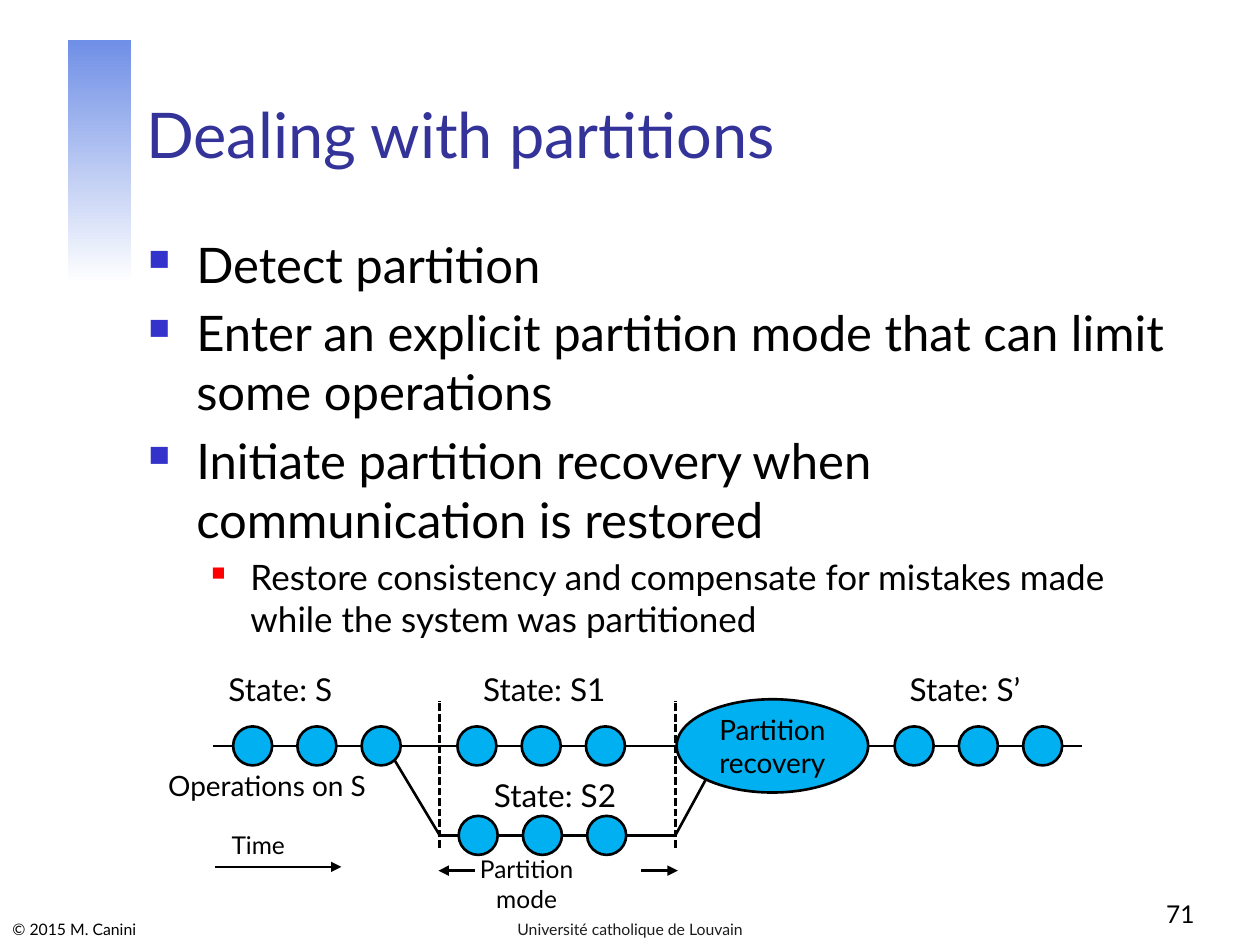
"""Build the slide on dealing with network partitions."""
from lxml.etree import SubElement
from pptx import Presentation
from pptx.dml.color import RGBColor
from pptx.enum.dml import MSO_LINE
from pptx.enum.shapes import MSO_CONNECTOR, MSO_SHAPE
from pptx.enum.text import MSO_ANCHOR, PP_ALIGN
from pptx.oxml.ns import qn
from pptx.util import Inches, Pt

FONT = "Lato"
BLACK = "000000"
STATE_FILL = "00B0F0"
TITLE = "Dealing with partitions"

BULLETS = [
    ("Detect partition", 0),
    ("Enter an explicit partition mode that can limit some operations", 0),
    ("Initiate partition recovery when communication is restored", 0),
    ("Restore consistency and compensate for mistakes made while the system was partitioned", 1),
]
LEVELS = [
    {"size": 28, "margin": 0.38, "hanging": 0.38, "color": "3333CC", "scale": 60},
    {"size": 20, "margin": 0.81, "hanging": 0.31, "color": "FF0000", "scale": 55},
]

FOOTERS = [
    ("© 2015 M. Canini", (0, 7.22, 3.02, 0.28), 9, BLACK, PP_ALIGN.LEFT),
    ("Université catholique de Louvain", (3.42, 7.22, 3.16, 0.28), 9, "1C1C1C", PP_ALIGN.CENTER),
    ("71", (7.5, 6.92, 2.08, 0.5), 14, BLACK, PP_ALIGN.RIGHT),
]

DIAGRAM_LABELS = [
    ("State: S", (1.68, 5.27, 1.09, 0.4), 18, False),
    ("Operations on S", (1.22, 6.05, 1.8, 0.37), 16, False),
    ("State: S1", (3.71, 5.27, 1.22, 0.4), 18, False),
    ("State: S2", (3.79, 6.11, 1.23, 0.4), 18, False),
    ("State: S’", (7.08, 5.27, 1.16, 0.4), 18, False),
    ("Time", (1.73, 6.54, 0.64, 0.34), 14, False),
    ("Partition mode", (3.7, 6.73, 0.96, 0.58), 14, True),
]

DIAMETER = 0.31
OPERATION_STEP = 0.51
OPERATIONS_PER_STATE = 3
RECOVERY = (5.37, 5.55, 1.52, 0.74)
MAIN_Y, BRANCH_Y = 5.92, 6.63
TIMELINES = [
    {"y": MAIN_Y, "start": 1.69, "end": 8.59, "states": [1.85, 3.63, 7.1], "ovals": [RECOVERY]},
    {"y": BRANCH_Y, "start": 3.49, "end": 5.36, "states": [3.64], "ovals": []},
]
BRANCH_LINES = [(3.13, 6.03, 3.49, BRANCH_Y), (5.36, BRANCH_Y, 5.6, 6.19)]
PARTITION_LIMITS = [3.49, 5.36]
ARROWS = [(1.71, 6.88, 2.71, 6.88), (5.09, 6.91, 5.38, 6.91), (3.77, 6.91, 3.48, 6.91)]


def rgb(color):
    """Turn a hex string into a colour."""
    return RGBColor.from_string(color)


def inches(values):
    """Turn numbers into lengths in inches."""
    return [Inches(value) for value in values]


def format_paragraph(paragraph, size, color=BLACK, align=PP_ALIGN.LEFT, before=0.0):
    """Style a paragraph and its runs; before is a share of the text size."""
    paragraph.alignment = align
    paragraph.space_before = Pt(round(size * before, 1))
    for run in paragraph.runs:
        run.font.name = FONT
        run.font.size = Pt(size)
        run.font.color.rgb = rgb(color)


def add_text(slide, text, box, size, color=BLACK, align=PP_ALIGN.CENTER,
             anchor=MSO_ANCHOR.TOP, wrap=True, before=0.0):
    """Add a one-paragraph text box."""
    text_frame = slide.shapes.add_textbox(*inches(box)).text_frame
    text_frame.text = text
    text_frame.word_wrap = wrap
    text_frame.vertical_anchor = anchor
    format_paragraph(text_frame.paragraphs[0], size, color, align, before)


def add_bullet(paragraph, level):
    """Give a paragraph a hanging square bullet."""
    properties = paragraph._p.get_or_add_pPr()
    properties.set("marL", str(Inches(level["margin"])))
    properties.set("indent", str(-Inches(level["hanging"])))
    color = SubElement(properties, qn("a:buClr"))
    SubElement(color, qn("a:srgbClr"), val=level["color"])
    SubElement(properties, qn("a:buSzPct"), val=str(level["scale"] * 1000))
    SubElement(properties, qn("a:buChar"), char="■")


def add_oval(slide, box):
    """Add a filled and outlined oval."""
    shape = slide.shapes.add_shape(MSO_SHAPE.OVAL, *inches(box))
    shape.shadow.inherit = False
    shape.fill.solid()
    shape.fill.fore_color.rgb = rgb(STATE_FILL)
    shape.line.color.rgb = rgb(BLACK)
    shape.line.width = Pt(1.5)
    return shape


def add_line(slide, ends, dashed=False, arrow=False):
    """Add a straight line, dashed or with an arrowhead if asked."""
    connector = slide.shapes.add_connector(MSO_CONNECTOR.STRAIGHT, *inches(ends))
    connector.line.color.rgb = rgb(BLACK)
    connector.line.width = Pt(1.5)
    if dashed:
        connector.line.dash_style = MSO_LINE.SQUARE_DOT
    if arrow:
        SubElement(connector.line._get_or_add_ln(), qn("a:tailEnd"), type="triangle")
    SubElement(connector._element.spPr, qn("a:effectLst"))


def add_timeline(slide, timeline):
    """Add the operations of one timeline and the lines between them."""
    y = timeline["y"]
    circles = [
        (left + index * OPERATION_STEP, y - DIAMETER / 2, DIAMETER, DIAMETER)
        for left in timeline["states"]
        for index in range(OPERATIONS_PER_STATE)
    ]
    for circle in circles:
        add_oval(slide, circle)
    start = timeline["start"]
    for left, _, width, _ in sorted(circles + timeline["ovals"]):
        add_line(slide, (start, y, left, y))
        start = left + width
    add_line(slide, (start, y, timeline["end"], y))


def add_accent(slide):
    """Add the fading bar beside the title."""
    bar = slide.shapes.add_shape(MSO_SHAPE.RECTANGLE, *inches((0.54, 0.32, 0.5, 1.93)))
    bar.shadow.inherit = False
    bar.line.fill.background()
    bar.fill.gradient()
    bar.fill.gradient_angle = 270
    for stop, position, color in zip(bar.fill.gradient_stops, (0, 1), ("708FE6", "FFFFFF")):
        stop.position = position
        stop.color.rgb = rgb(color)


def add_title(slide):
    """Place and format the title."""
    title = slide.shapes.title
    title.left, title.top, title.width, title.height = inches((1.06, 0.33, 8.52, 1.08))
    title.text_frame.text = TITLE
    title.text_frame.vertical_anchor = MSO_ANCHOR.BOTTOM
    format_paragraph(title.text_frame.paragraphs[0], 36, "333399")


def add_body(slide):
    """Add the bulleted list."""
    text_frame = slide.shapes.add_textbox(*inches((1.08, 1.81, 8.5, 4.96))).text_frame
    text_frame.word_wrap = True
    text_frame.text = "\n".join(text for text, _ in BULLETS)
    for paragraph, (_, depth) in zip(text_frame.paragraphs, BULLETS):
        level = LEVELS[depth]
        paragraph.level = depth
        format_paragraph(paragraph, level["size"], before=0.2)
        add_bullet(paragraph, level)


def add_diagram(slide):
    """Add the timelines, recovery oval, limits, arrows and labels."""
    for timeline in TIMELINES:
        add_timeline(slide, timeline)
    for ends in BRANCH_LINES:
        add_line(slide, ends)
    for x in PARTITION_LIMITS:
        add_line(slide, (x, 6.73, x, 5.56), dashed=True)
    for ends in ARROWS:
        add_line(slide, ends, arrow=True)
    text_frame = add_oval(slide, RECOVERY).text_frame
    text_frame.text = "Partition recovery"
    text_frame.word_wrap = True
    text_frame.vertical_anchor = MSO_ANCHOR.MIDDLE
    format_paragraph(text_frame.paragraphs[0], 16, align=PP_ALIGN.CENTER, before=0.2)
    for text, box, size, wrap in DIAGRAM_LABELS:
        add_text(slide, text, box, size, wrap=wrap, before=0.2)


def main():
    """Build and save the presentation."""
    presentation = Presentation()
    presentation.slide_width, presentation.slide_height = inches((10, 7.5))
    slide = presentation.slides.add_slide(presentation.slide_layouts[5])
    add_accent(slide)
    add_title(slide)
    add_body(slide)
    for text, box, size, color, align in FOOTERS:
        add_text(slide, text, box, size, color, align, MSO_ANCHOR.BOTTOM)
    add_diagram(slide)
    presentation.save("out.pptx")


if __name__ == "__main__":
    main()
